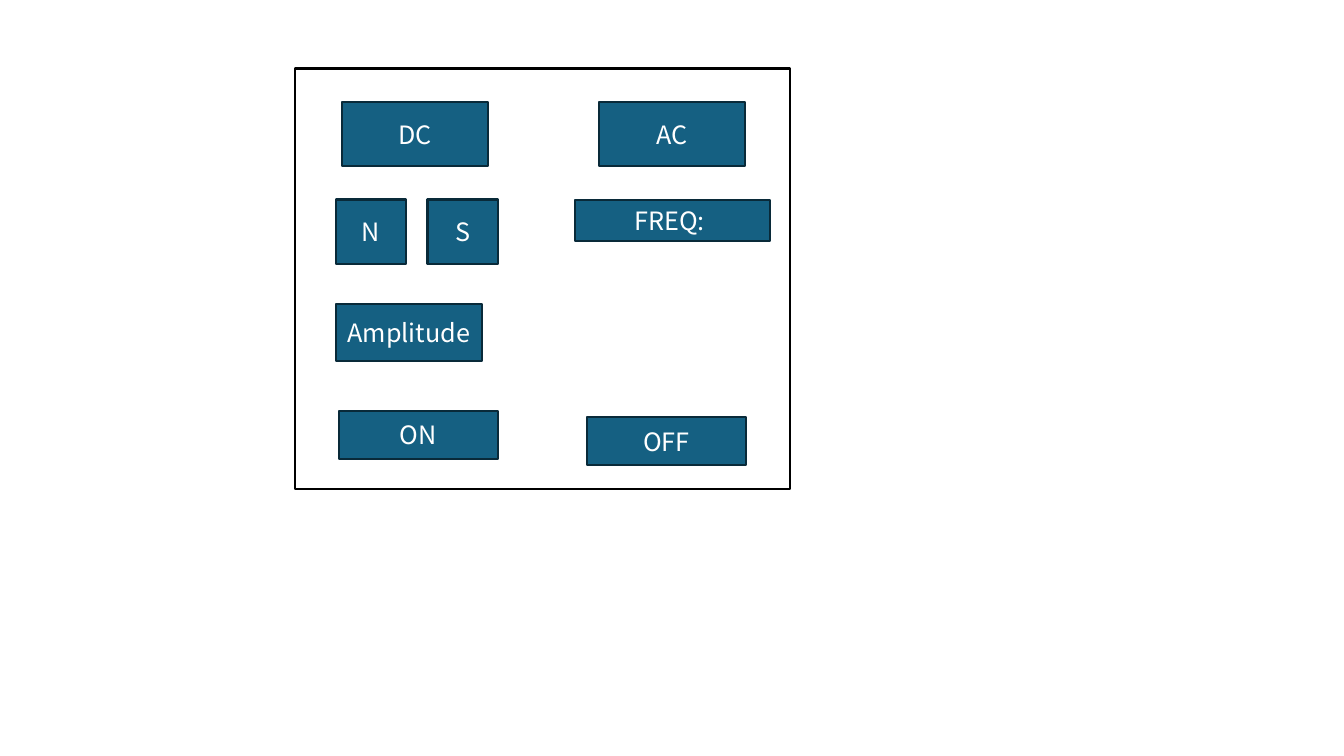
from dataclasses import dataclass

from pptx import Presentation
from pptx import util as u
from pptx.dml.color import RGBColor
from pptx.enum import shapes, text

SLIDE_WIDTH, SLIDE_HEIGHT = 13.33, 7.5
BLANK_LAYOUT = 6


@dataclass(frozen=True)
class Theme:
    font: str = "Noto Sans CJK SC"
    label_size: float = 18
    line_width: float = 1.5
    panel_fill: str = "FFFFFF"
    panel_line: str = "000000"
    button_fill: str = "156082"
    button_line: str = "092A39"
    button_text: str = "FFFFFF"


THEME = Theme()

# Panel grid: left edges of the two columns, top edges of the rows, in inches
PANEL = (2.93, 0.68, 4.91, 4.17)
LEFT, RIGHT = 3.33, 5.7
MODE_ROW, SETTING_ROW, AMPLITUDE_ROW, POWER_ROW = 1.01, 1.98, 3.02, 4.08

# Button sizes: width, height
MODE_SIZE = (1.45, 0.64)
POLE_SIZE = (0.7, 0.64)
FREQUENCY_SIZE = (1.94, 0.41)
AMPLITUDE_SIZE = (1.45, 0.56)
POWER_SIZE = (1.58, 0.47)
POLE_STEP = 0.91


def add_box(slide, left, top, width, height, fill, line):
    """Add a flat, outlined rectangle."""
    box = slide.shapes.add_shape(
        shapes.MSO_SHAPE.RECTANGLE,
        *(u.Inches(length) for length in (left, top, width, height)))
    box.shadow.inherit = False
    box.fill.solid()
    box.fill.fore_color.rgb = RGBColor.from_string(fill)
    box.line.color.rgb = RGBColor.from_string(line)
    box.line.width = u.Pt(THEME.line_width)
    return box


def write_text(shape, wording, *, size=THEME.label_size, color=THEME.button_text,
               align=text.PP_ALIGN.CENTER, anchor=text.MSO_ANCHOR.MIDDLE):
    """Write one formatted paragraph into a shape."""
    frame = shape.text_frame
    frame.word_wrap = True
    frame.vertical_anchor = anchor
    paragraph = frame.paragraphs[0]
    paragraph.alignment = align
    run = paragraph.add_run()
    run.text = wording
    run.font.name = THEME.font
    run.font.size = u.Pt(size)
    run.font.color.rgb = RGBColor.from_string(color)


def add_button(slide, label, left, top, size):
    """Add a labelled button of the control panel."""
    button = add_box(slide, left, top, *size, THEME.button_fill, THEME.button_line)
    write_text(button, label)


def main():
    presentation = Presentation()
    presentation.slide_width = u.Inches(SLIDE_WIDTH)
    presentation.slide_height = u.Inches(SLIDE_HEIGHT)
    slide = presentation.slides.add_slide(presentation.slide_layouts[BLANK_LAYOUT])

    # Panel outline
    add_box(slide, *PANEL, THEME.panel_fill, THEME.panel_line)

    # Current mode
    add_button(slide, "DC", LEFT + 0.06, MODE_ROW, MODE_SIZE)
    add_button(slide, "AC", RIGHT + 0.24, MODE_ROW, MODE_SIZE)

    # Settings of each mode
    add_button(slide, "FREQ: ", RIGHT, SETTING_ROW, FREQUENCY_SIZE)
    for index, pole in enumerate("NS"):
        add_button(slide, pole, LEFT + index * POLE_STEP, SETTING_ROW, POLE_SIZE)
    add_button(slide, "Amplitude", LEFT, AMPLITUDE_ROW, AMPLITUDE_SIZE)

    # Power switches
    add_button(slide, "ON", LEFT + 0.03, POWER_ROW, POWER_SIZE)
    add_button(slide, "OFF", RIGHT + 0.12, POWER_ROW + 0.06, POWER_SIZE)

    presentation.save("out.pptx")


if __name__ == "__main__":
    main()
